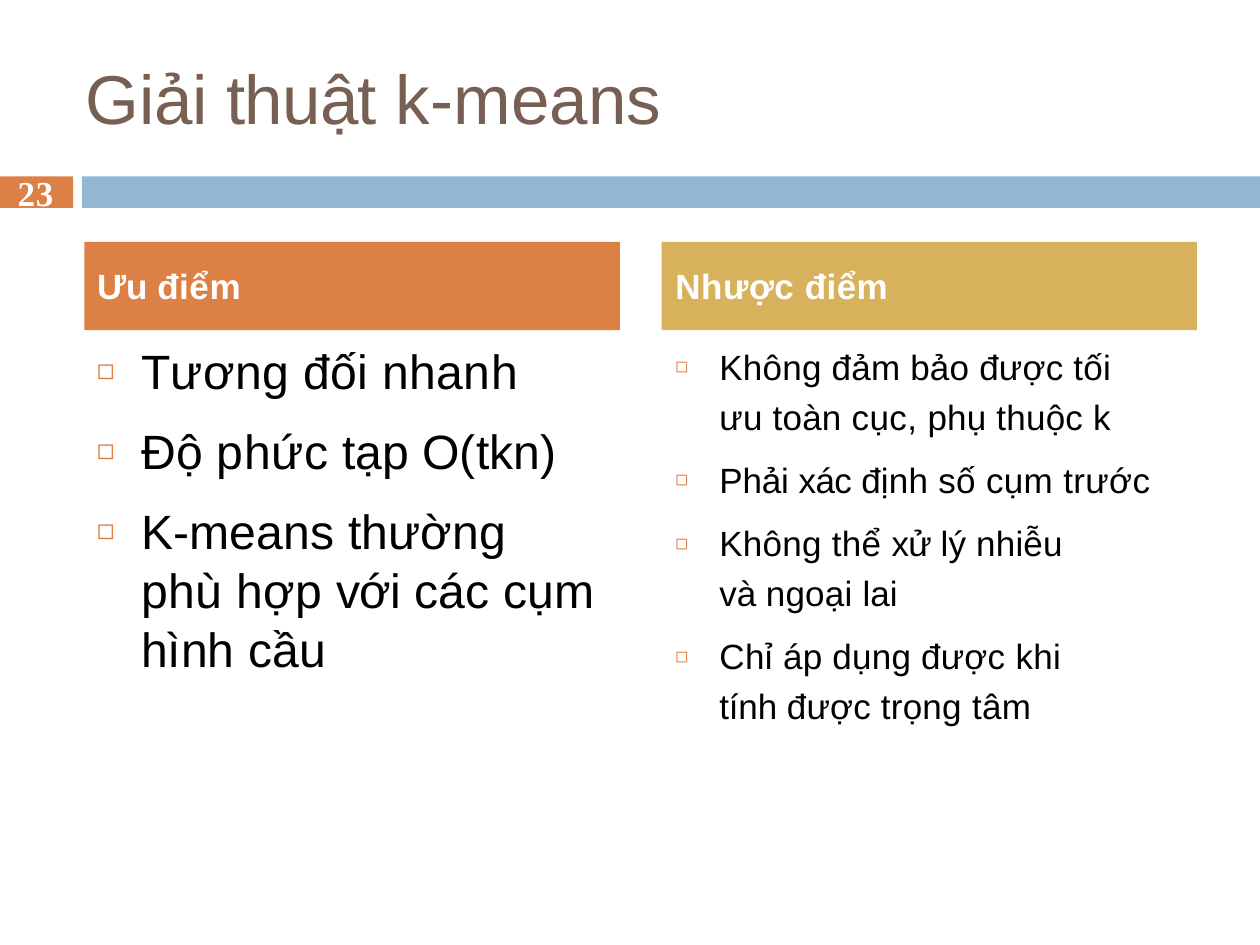
from dataclasses import dataclass

from lxml.etree import SubElement
from pptx import Presentation
from pptx.dml.color import RGBColor
from pptx.enum.shapes import MSO_SHAPE
from pptx.enum.text import MSO_ANCHOR, MSO_AUTO_SIZE, PP_ALIGN
from pptx.oxml.ns import qn
from pptx.util import Inches, Pt

ORANGE = "DD8046"
BLUE = "93B6D2"
GOLD = "D7B15C"
BROWN = "775F54"
WHITE = "FFFFFF"
BLACK = "000000"


@dataclass
class Style:
    size: float
    color: str
    font: str = "Arial"
    bold: bool = False


@dataclass
class Para:
    runs: list[tuple[str, float]]
    before: float
    line: float | None = None
    indent: float = 0
    right: float = 0
    bullet: bool = False


@dataclass
class Column:
    left: float
    color: str
    heading: Para
    box: tuple[float, float, float, float]
    inset: float
    size: float
    items: list[Para]


def rgb(value: str) -> RGBColor:
    return RGBColor.from_string(value)


def add_bullet(p) -> None:
    pPr = p._p.get_or_add_pPr()
    color = SubElement(pPr, qn("a:buClr"))
    SubElement(color, qn("a:srgbClr"), val=ORANGE)
    SubElement(pPr, qn("a:buSzPct"), val="60000")
    SubElement(pPr, qn("a:buFont"), typeface="Arial")
    SubElement(pPr, qn("a:buChar"), char="◻")


def write(sp, paras: list[Para], style: Style, inset: float) -> None:
    tf = sp.text_frame
    tf.word_wrap = True
    tf.auto_size = MSO_AUTO_SIZE.SHAPE_TO_FIT_TEXT
    tf.vertical_anchor = MSO_ANCHOR.TOP
    tf.margin_left = tf.margin_right = tf.margin_bottom = 0
    tf.margin_top = Inches(inset)
    for i, para in enumerate(paras):
        p = tf.paragraphs[0] if i == 0 else tf.add_paragraph()
        p.alignment = PP_ALIGN.LEFT
        p.space_before = Pt(para.before)
        if para.line:
            p.line_spacing = para.line
        pPr = p._p.get_or_add_pPr()
        pPr.set("marL", str(Inches(0.37 if para.bullet else para.indent)))
        pPr.set("marR", str(Inches(para.right)))
        pPr.set("indent", str(Inches(-0.35 if para.bullet else 0)))
        if para.bullet:
            add_bullet(p)
        for text, spacing in para.runs:
            r = p.add_run()
            r.text = text
            r.font.name = style.font
            r.font.size = Pt(style.size)
            r.font.bold = style.bold
            r.font.color.rgb = rgb(style.color)
            r._r.get_or_add_rPr().set("spc", str(round(spacing * 100)))


def add_rect(s, left: float, top: float, width: float, height: float, color: str):
    sp = s.shapes.add_shape(
        MSO_SHAPE.RECTANGLE, Inches(left), Inches(top), Inches(width), Inches(height)
    )
    sp.shadow.inherit = False
    sp.fill.solid()
    sp.fill.fore_color.rgb = rgb(color)
    sp.line.fill.background()
    return sp


def add_column(s, col: Column) -> None:
    body = s.shapes.add_textbox(*map(Inches, col.box))
    write(body, col.items, Style(col.size, BLACK), col.inset)
    head = add_rect(s, col.left, 1.92, 4.25, 0.7, col.color)
    write(head, [col.heading], Style(20, WHITE, bold=True), 0.18)


def item(runs: list[tuple[str, float]], before: float,
         line: float | None = None, right: float = 0) -> Para:
    return Para(runs, before, line, right=right, bullet=True)


COLUMNS = [
    Column(
        0.67, ORANGE, Para([("Ưu ", 0), ("điểm", 0.3)], 12.9, indent=0.1),
        (0.75, 2.52, 4.04, 2.88), 0.19, 27.5,
        [
            item([("Tương ", 0.2), ("đối ", 0.3), ("nhanh", 0.2)], 13.8),
            item([("Độ ", 0.2), ("phức ", 0.3), ("tạp ", -0.1), ("O(tkn)", 0.1)], 12.8),
            item([("K-means thường ", 0.1), ("phù ", 0.3), ("hợp ", 0.1),
                  ("với ", -0.3), ("các ", 0.1), ("cụm ", 0.3),
                  ("hình ", 0), ("cầu", 0.1)], 12, 1.02, 0.04),
        ],
    ),
    Column(
        5.25, GOLD, Para([("Nhược ", 0.3), ("điểm", 0.2)], 12.9, indent=0.11),
        (5.34, 2.67, 3.87, 3.12), 0.01, 20,
        [
            item([("Không đảm bảo được tối ưu toàn ", 0.1), ("cục, ", 0.2),
                  ("phụ thuộc k", 0.1)], 0.9, 1.19),
            item([("Phải ", -0.1), ("xác ", -0.3), ("định ", 0.1),
                  ("số cụm trước", 0.2)], 12.1),
            item([("Không ", 0.1), ("thể ", 0.2), ("xử ", -0.5), ("lý nhiễu ", 0.1),
                  ("và ", -0.1), ("ngoại ", 0.1), ("lai", 0)], 7.5, 1.19, 0.45),
            item([("Chỉ ", 0.2), ("áp dụng được ", 0.1), ("khi ", 0.2),
                  ("tính ", -0.1), ("được trọng ", 0.1), ("tâm", 0.2)], 7.5, 1.19, 0.45),
        ],
    ),
]


def main() -> None:
    prs = Presentation()
    prs.slide_width, prs.slide_height = Inches(10), Inches(7.5)
    s = prs.slides.add_slide(prs.slide_layouts[5])

    add_rect(s, 0, 1.4, 0.58, 0.25, ORANGE)
    add_rect(s, 0.65, 1.4, 9.35, 0.25, BLUE)

    title = s.shapes.title
    title.left, title.top = Inches(0.67), Inches(0.42)
    title.width, title.height = Inches(4.67), Inches(0.69)
    heading = Para([("Giải ", -0.2), ("thuật ", -0.4), ("k-means", 0.1)], 1.3, indent=0.01)
    write(title, [heading], Style(39.5, BROWN), 0.02)

    number = s.shapes.add_textbox(Inches(0.13), Inches(1.34), Inches(0.32), Inches(0.37))
    write(number, [Para([("23", 0.5)], 1.2, indent=0.01)],
          Style(20, WHITE, "Times New Roman", True), 0.02)

    for col in COLUMNS:
        add_column(s, col)

    prs.save("out.pptx")


if __name__ == "__main__":
    main()
